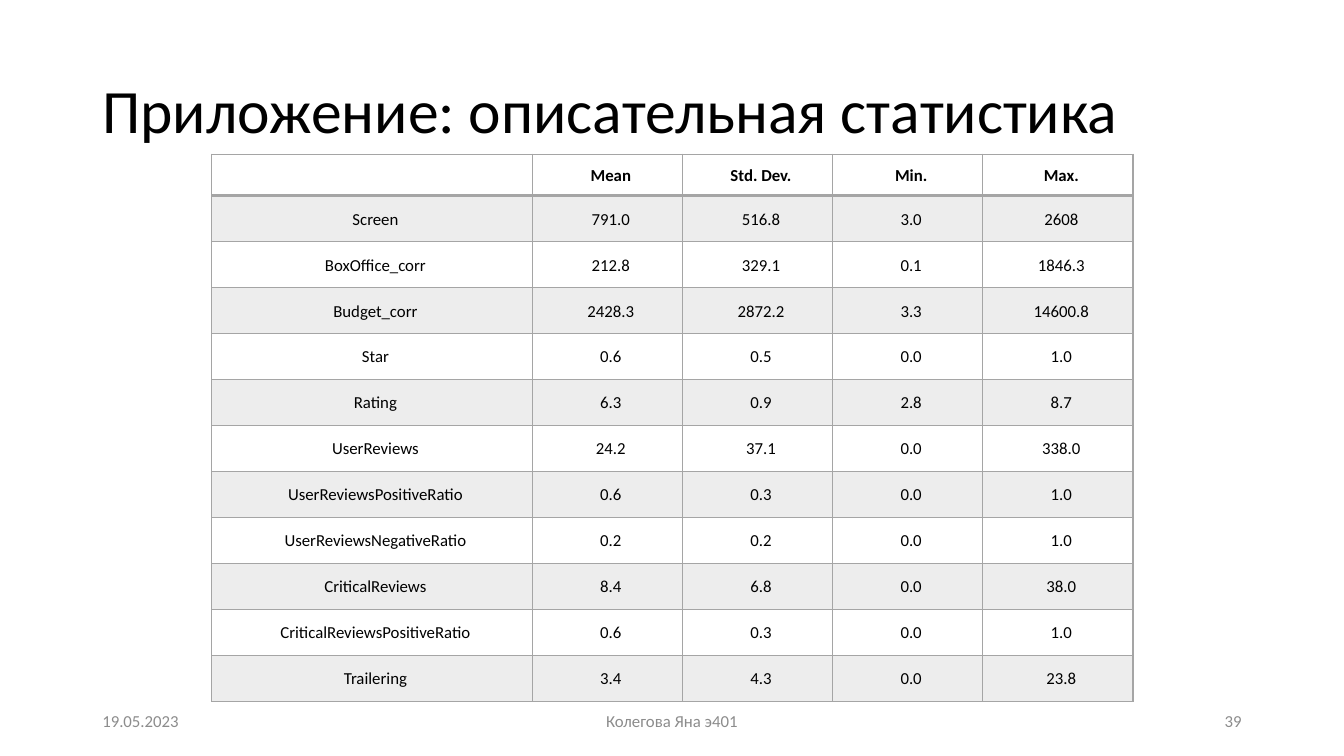
import pptx
import pptx.dml.color
import pptx.enum.text
import pptx.oxml
import pptx.oxml.ns
import pptx.util

Pt = pptx.util.Pt
ALIGN = pptx.enum.text.PP_ALIGN
MIDDLE = pptx.enum.text.MSO_ANCHOR.MIDDLE

FONT = "Calibri"
BLACK, GREY, BORDER, BAND = "000000", "8C8C8C", "A5A5A5", "EDEDED"

TITLE = "Приложение: описательная статистика"
HEADER = ["", "Mean", "Std. Dev.", "Min.", "Max."]
STATISTICS = [
    ["Screen", "791.0", "516.8", "3.0", "2608"],
    ["BoxOffice_corr", "212.8", "329.1", "0.1", "1846.3"],
    ["Budget_corr", "2428.3", "2872.2", "3.3", "14600.8"],
    ["Star", "0.6", "0.5", "0.0", "1.0"],
    ["Rating", "6.3", "0.9", "2.8", "8.7"],
    ["UserReviews", "24.2", "37.1", "0.0", "338.0"],
    ["UserReviewsPositiveRatio", "0.6", "0.3", "0.0", "1.0"],
    ["UserReviewsNegativeRatio", "0.2", "0.2", "0.0", "1.0"],
    ["CriticalReviews", "8.4", "6.8", "0.0", "38.0"],
    ["CriticalReviewsPositiveRatio", "0.6", "0.3", "0.0", "1.0"],
    ["Trailering", "3.4", "4.3", "0.0", "23.8"],
]
# text, left, width, alignment
FOOTERS = [
    ("19.05.2023", 66, 216, ALIGN.LEFT),
    ("Колегова Яна э401", 318, 324, ALIGN.CENTER),
    ("39", 678, 216, ALIGN.RIGHT),
]
FOOTER_TOP, FOOTER_HEIGHT = 500.5, 28.75

TABLE_LEFT, TABLE_TOP = 151.2, 110.2
COLUMN_WIDTHS = [229] + [107.28] * 4
ROW_HEIGHTS = [29.5] + [32.86] * len(STATISTICS)


def color(value):
    return pptx.dml.color.RGBColor.from_string(value)


def add_span(para, text, size, hue, bold=False):
    span = para.add_run()
    span.text = text
    span.font.name = FONT
    span.font.size = Pt(size)
    span.font.bold = bold
    span.font.color.rgb = color(hue)


def add_text(page, text, left, top, width, height, size, hue, align):
    box = page.shapes.add_textbox(Pt(left), Pt(top), Pt(width), Pt(height))
    box.text_frame.word_wrap = True
    box.text_frame.vertical_anchor = MIDDLE
    para = box.text_frame.paragraphs[0]
    para.alignment = align
    add_span(para, text, size, hue)
    return para


def set_borders(cell, widths):
    """Draw the cell borders; widths maps L, R, T and B to points."""
    properties = cell._tc.get_or_add_tcPr()
    for side, width in widths.items():
        properties.append(pptx.oxml.parse_xml(
            f'<a:ln{side} {pptx.oxml.ns.nsdecls("a")} w="{Pt(width)}">'
            f'<a:solidFill><a:srgbClr val="{BORDER}"/></a:solidFill></a:ln{side}>'))


def fill_cell(cell, text, row):
    cell.vertical_anchor = MIDDLE
    cell.margin_left = cell.margin_right = Pt(5)
    cell.margin_top = cell.margin_bottom = 0
    set_borders(cell, {"L": 1, "R": 1, "T": 2 if row == 1 else 1, "B": 2 if row == 0 else 1})
    if row % 2:
        cell.fill.solid()
        cell.fill.fore_color.rgb = color(BAND)
    else:
        cell.fill.background()
    if not text:
        return
    para = cell.text_frame.paragraphs[0]
    para.alignment = ALIGN.CENTER
    para.line_spacing = 1.07
    para.space_before = para.space_after = Pt(5)
    para._p.get_or_add_pPr().set("marL", str(Pt(5)))
    add_span(para, text, 12, BLACK, bold=row == 0)


def add_statistics(page):
    rows = [HEADER] + STATISTICS
    table = page.shapes.add_table(
        len(rows), len(HEADER), Pt(TABLE_LEFT), Pt(TABLE_TOP),
        Pt(sum(COLUMN_WIDTHS)), Pt(sum(ROW_HEIGHTS))).table
    table.horz_banding = False
    table.first_row = False
    for column, width in zip(table.columns, COLUMN_WIDTHS):
        column.width = Pt(width)
    for index, (values, height) in enumerate(zip(rows, ROW_HEIGHTS)):
        table.rows[index].height = Pt(height)
        for cell, text in zip(table.rows[index].cells, values):
            fill_cell(cell, text, index)


def main():
    deck = pptx.Presentation()
    deck.slide_width, deck.slide_height = Pt(960), Pt(540)
    page = deck.slides.add_slide(deck.slide_layouts[6])
    title = add_text(page, TITLE, 66, 28.75, 828, 104.4, 44, BLACK, ALIGN.LEFT)
    title.line_spacing = 0.9
    add_statistics(page)
    for text, left, width, align in FOOTERS:
        add_text(page, text, left, FOOTER_TOP, width, FOOTER_HEIGHT, 12, GREY, align)
    deck.save("out.pptx")


if __name__ == "__main__":
    main()
